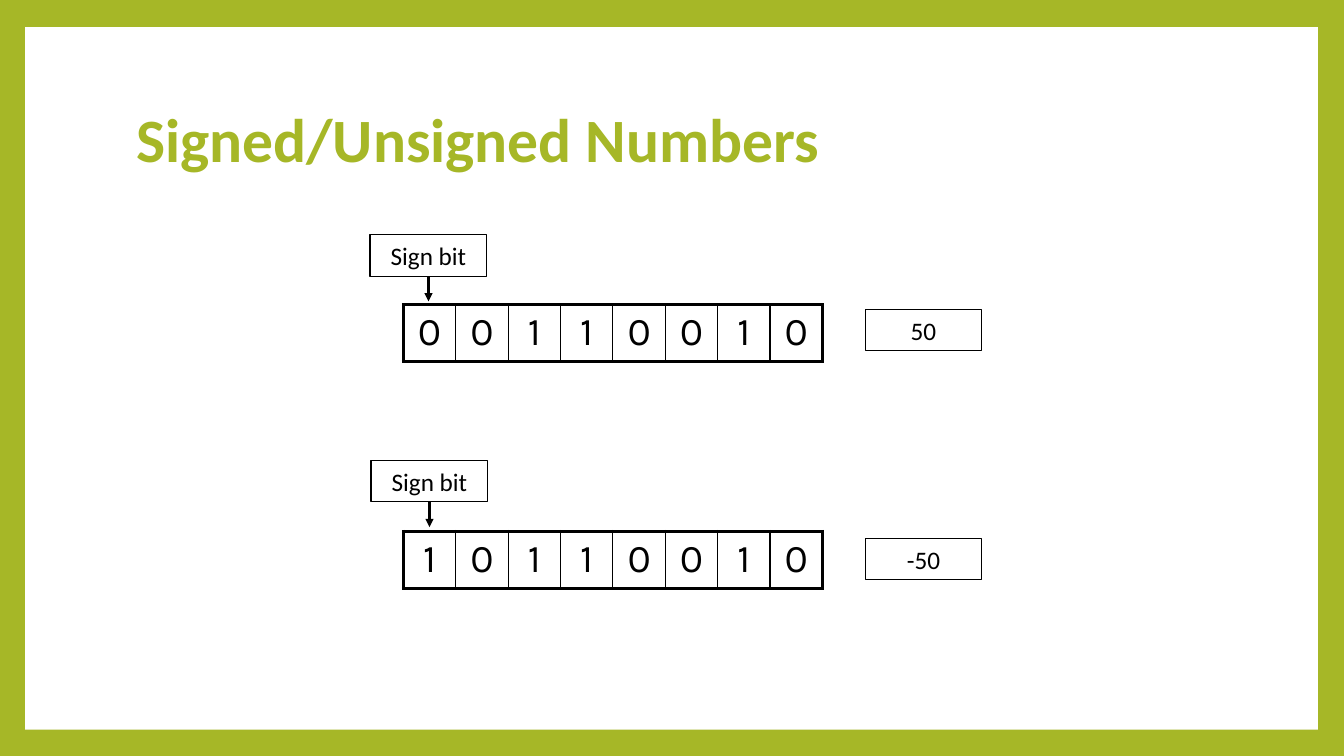
from pptx import Presentation
from pptx.dml.color import RGBColor as RGB
from pptx.enum.shapes import MSO_CONNECTOR as Link, MSO_SHAPE as Kind
from pptx.enum.text import MSO_ANCHOR as Anchor, MSO_AUTO_SIZE as Auto, PP_ALIGN as Align
from pptx.oxml import parse_xml
from pptx.oxml.ns import nsdecls
from pptx.util import Pt

SCALE = 9144
GREEN, WHITE, BLACK = "A6B727", "FFFFFF", "000000"
HEAD = {"name": "Calibri", "size": Pt(44), "bold": True}
LABEL = {"name": "Calibri", "size": Pt(18)}
DIGIT = {"name": "Karla", "size": Pt(28)}
THIN, THICK = 1, 2.25


def px(*vals):
    return [val * SCALE for val in vals]


def tint(code):
    return RGB.from_string(code)


class Board:
    """Holds the style and the slide being drawn."""

    def __init__(self, deck):
        self.slide = deck.slides.add_slide(deck.slide_layouts[5])
        self.shapes = self.slide.shapes
        back = self.slide.background.fill
        back.solid()
        back.fore_color.rgb = tint(GREEN)

    def label(self, frame, text, style, color=BLACK, align=Align.CENTER):
        para = frame.paragraphs[0]
        para.text = text
        para.alignment = align
        for key, val in style.items():
            setattr(para.font, key, val)
        para.font.color.rgb = tint(color)
        return para

    def panel(self, *area):
        shape = self.shapes.add_shape(Kind.RECTANGLE, *px(*area))
        shape.shadow.inherit = False
        shape.fill.solid()
        shape.fill.fore_color.rgb = tint(WHITE)
        shape.line.fill.background()
        self.shapes._spTree.insert(2, shape._element)

    def title(self, text, *area):
        shape = self.shapes.title
        for key, val in zip(("left", "top", "width", "height"), px(*area)):
            setattr(shape, key, val)
        frame = shape.text_frame
        form = {"auto_size": Auto.NONE, "word_wrap": True, "vertical_anchor": Anchor.MIDDLE}
        for key, val in form.items():
            setattr(frame, key, val)
        self.label(frame, text, HEAD, GREEN, Align.LEFT).line_spacing = 0.9

    def box(self, text, left, top):
        shape = self.shapes.add_shape(Kind.RECTANGLE, *px(left, top, 116, 41))
        shape.shadow.inherit = False
        shape.fill.background()
        shape.line.color.rgb = tint(BLACK)
        shape.line.width = Pt(0.75)
        shape.text_frame.word_wrap = True
        shape.text_frame.auto_size = Auto.SHAPE_TO_FIT_TEXT
        self.label(shape.text_frame, text, LABEL)
        return shape

    def arrow(self, box, drop):
        mid, end = box.left + box.width // 2, box.top + box.height
        line = self.shapes.add_connector(Link.STRAIGHT, mid, end, mid, end + drop * SCALE)
        line.begin_connect(box, 2)
        line.line.color.rgb = tint(BLACK)
        line.line.width = Pt(1.5)
        line.line._get_or_add_ln().append(parse_xml(f'<a:tailEnd {nsdecls("a")} type="triangle"/>'))
        line._element.spPr.append(parse_xml(f'<a:effectLst {nsdecls("a")}/>'))

    def edge(self, cell, sides):
        props = cell._tc.get_or_add_tcPr()
        for spot, (side, size) in enumerate(sides.items()):
            props.insert(spot, parse_xml(
                f'<a:ln{side} {nsdecls("a")} w="{Pt(size)}"><a:solidFill>'
                f'<a:srgbClr val="{BLACK}"/></a:solidFill></a:ln{side}>'))

    def bits(self, text, left, top, wide=52, high=57):
        last = len(text) - 1
        area = px(left, top, wide * len(text), high)
        table = self.shapes.add_table(1, len(text), *area).table
        table.first_row = table.horz_banding = False
        for spot, bit in enumerate(text):
            table.columns[spot].width = wide * SCALE
            cell = table.cell(0, spot)
            cell.fill.background()
            self.label(cell.text_frame, bit, DIGIT)
            self.edge(cell, {"L": THIN if spot else THICK, "R": THIN if spot < last else THICK,
                             "T": THICK, "B": THICK})


def main():
    deck = Presentation()
    deck.slide_width, deck.slide_height = px(1333, 750)
    board = Board(deck)
    board.panel(25, 27, 1282, 697)
    board.title("Signed/Unsigned Numbers", 125, 67, 1080, 148)
    rows = [("00110010", "50", 302, 367, 233, 307), ("10110010", "-50", 527, 368, 457, 534)]
    for bits, value, top, left, over, side in rows:
        board.bits(bits, 400, top)
        board.arrow(board.box("Sign bit", left, over), 25)
        board.box(value, 858, side)
    deck.save("out.pptx")


if __name__ == "__main__":
    main()
